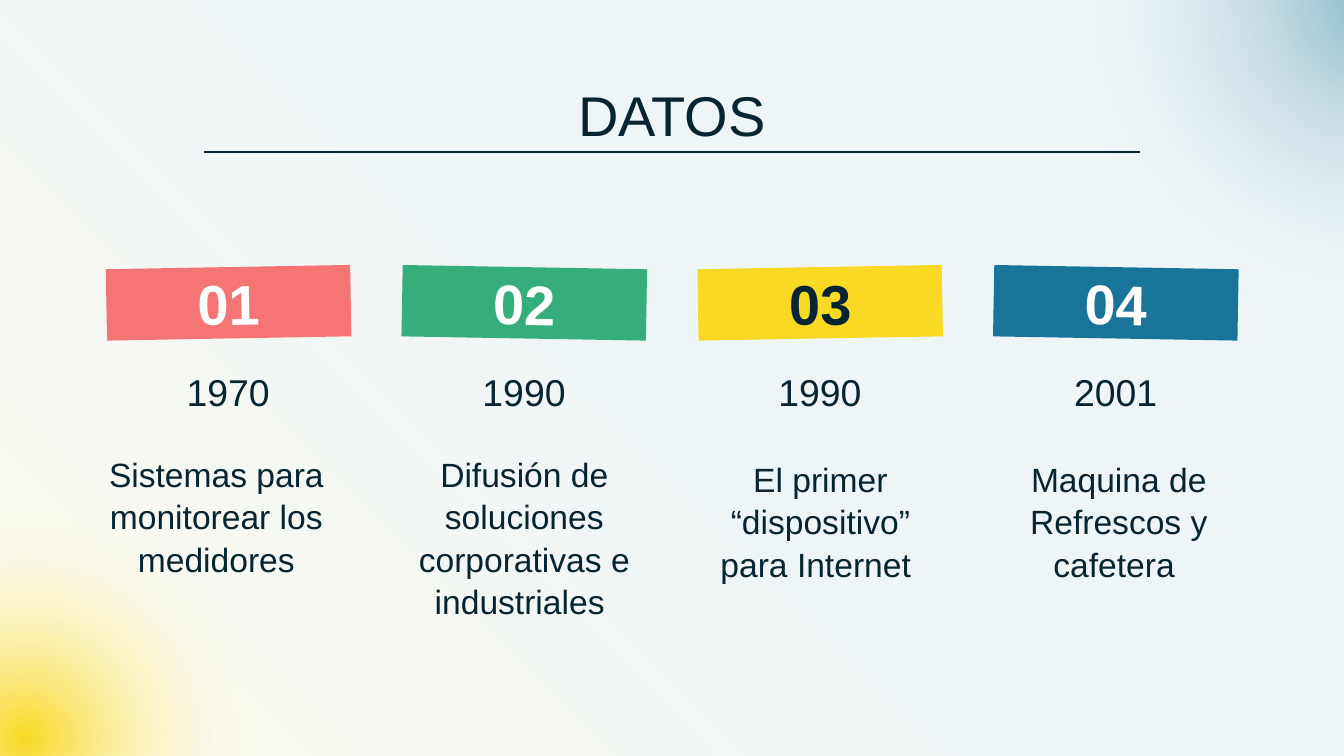
from dataclasses import dataclass

from lxml.etree import SubElement
from pptx import Presentation
from pptx.dml.color import RGBColor
from pptx.enum.shapes import MSO_CONNECTOR, MSO_SHAPE
from pptx.enum.text import MSO_ANCHOR, PP_ALIGN
from pptx.oxml import parse_xml
from pptx.oxml.ns import nsdecls, qn
from pptx.util import Cm, Pt


@dataclass(frozen=True)
class Theme:
    font: str = "Arial"
    ink: str = "062531"
    white: str = "FFFFFF"
    coral: str = "F57474"
    green: str = "36AE7C"
    yellow: str = "F9D923"
    blue: str = "187498"
    heading: int = 30
    year: int = 20
    body: int = 18
    leading: float = 1.05


class SlideBuilder:
    def __init__(self, s, theme):
        self.s = s
        self.theme = theme

    def shape(self, kind, box):
        sp = self.s.shapes.add_shape(kind, *map(Cm, box))
        sp.shadow.inherit = False
        sp.line.fill.background()
        return sp

    def gradient(self, kind, box, stops, direction):
        """Add a shape filled with (position %, colour, opacity %) stops."""
        sp = self.shape(kind, box)
        sp.fill.background()
        gs = "".join(
            f'<a:gs pos="{pos * 1000}"><a:srgbClr val="{color}">'
            f'<a:alpha val="{alpha * 1000}"/></a:srgbClr></a:gs>'
            for pos, color, alpha in stops
        )
        fill = parse_xml(
            f'<a:gradFill {nsdecls("a")} rotWithShape="1">'
            f"<a:gsLst>{gs}</a:gsLst>{direction}</a:gradFill>"
        )
        sp_pr = sp.element.spPr
        sp_pr.replace(sp_pr.find(qn("a:noFill")), fill)

    def glow(self, left, top, size, color, alpha):
        white = self.theme.white
        self.gradient(
            MSO_SHAPE.OVAL, (left, top, size, size),
            [(0, color, alpha), (50, white, 0), (100, white, 0)],
            '<a:path path="circle">'
            '<a:fillToRect l="50000" t="50000" r="50000" b="50000"/></a:path>',
        )

    def add_run(self, sp, text, size, color, anchor, bold=False, top=0):
        """Put one centred run in the shape and return its paragraph."""
        tf = sp.text_frame
        tf.word_wrap = True
        tf.vertical_anchor = anchor
        tf.margin_left = tf.margin_right = tf.margin_bottom = 0
        tf.margin_top = Cm(top)
        p = tf.paragraphs[0]
        p.alignment = PP_ALIGN.CENTER
        r = p.add_run()
        r.text = text
        r.font.name = self.theme.font
        r.font.size = Pt(size)
        r.font.bold = bold
        r.font.color.rgb = RGBColor.from_string(color)
        return p

    def text(self, box, text, size, anchor=MSO_ANCHOR.TOP):
        sp = self.s.shapes.add_textbox(*map(Cm, box))
        p = self.add_run(sp, text, size, self.theme.ink, anchor, top=0.03)
        p.line_spacing = self.theme.leading

    def badge(self, box, text, fill, color, tilt):
        sp = self.shape(MSO_SHAPE.RECTANGLE, box)
        sp.fill.solid()
        sp.fill.fore_color.rgb = RGBColor.from_string(fill)
        sp.rotation = tilt
        self.add_run(sp, text, self.theme.heading, color, MSO_ANCHOR.MIDDLE, bold=True)

    def rule(self, x1, x2, y):
        line = self.s.shapes.add_connector(
            MSO_CONNECTOR.STRAIGHT, Cm(x1), Cm(y), Cm(x2), Cm(y))
        line.line.color.rgb = RGBColor.from_string(self.theme.ink)
        line.line.width = Pt(0.75)
        SubElement(line.element.spPr, qn("a:effectLst"))


def main():
    width, height, bleed = 25.4, 14.29, 0.1
    prs = Presentation()
    prs.slide_width, prs.slide_height = Cm(width), Cm(height)
    t = Theme()
    b = SlideBuilder(prs.slides.add_slide(prs.slide_layouts[6]), t)

    b.gradient(
        MSO_SHAPE.RECTANGLE,
        (-bleed, -bleed, width + 2 * bleed, height + 2 * bleed),
        [(0, t.blue, 7), (50, t.blue, 7), (100, t.yellow, 7)],
        '<a:lin ang="8100000" scaled="0"/>',
    )
    b.glow(-6.07, 7.39, 13.08, t.yellow, 100)
    b.glow(17.17, -8.84, 17.68, t.blue, 47)

    b.text((2.03, 1.5, 21.34, 1.3), "DATOS", t.heading, MSO_ANCHOR.BOTTOM)
    b.rule(3.86, 21.54, 2.87)

    # fill, number colour, year, description, description left, top, width
    columns = [
        (t.coral, t.white, "1970", "Sistemas para monitorear los medidores",
         1.6, 8.51, 4.98),
        (t.green, t.white, "1990",
         "Difusión de soluciones corporativas e industriales ",
         7.42, 8.51, 4.98),
        (t.yellow, t.ink, "1990", "El primer “dispositivo” para Internet ",
         13.23, 8.61, 4.55),
        (t.blue, t.white, "2001", "Maquina de Refrescos y cafetera ",
         18.87, 8.61, 4.55),
    ]
    pitch = 5.59
    for i, (fill, color, year, body, left, top, body_width) in enumerate(columns):
        x = 2.01 + i * pitch
        tilt = 1 if i % 2 else -1
        b.badge((x, 5.05, 4.62, 1.35), f"{i + 1:02}", fill, color, tilt)
        b.text((x + 0.03, 6.91, 4.55, 1.7), year, t.year)
        b.text((left, top, body_width, 2.11), body, t.body)

    prs.save("out.pptx")


if __name__ == "__main__":
    main()
